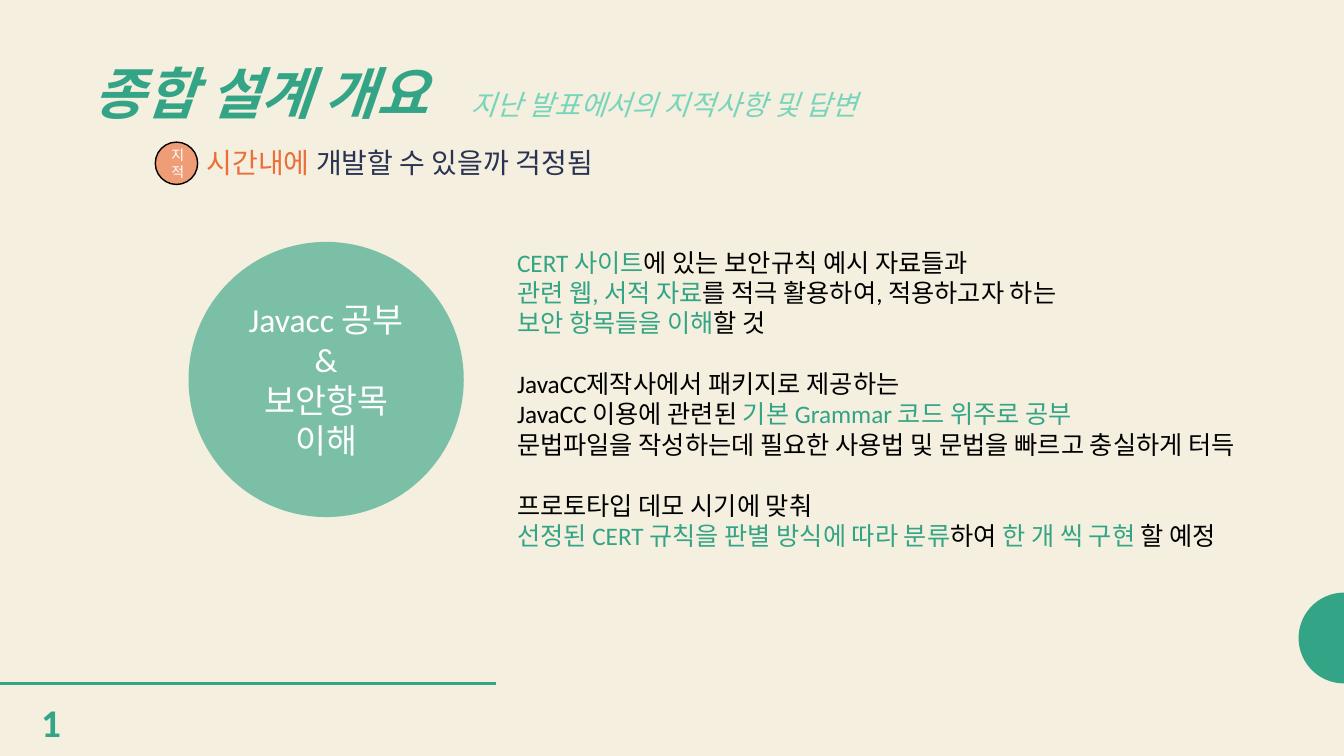
from dataclasses import dataclass
from math import cos, pi, sin

from lxml import etree
from pptx import Presentation
from pptx.dml.color import RGBColor as RGB
from pptx.enum.shapes import MSO_CONNECTOR as CONN, MSO_SHAPE as SHAPE
from pptx.enum.text import MSO_ANCHOR as ANCHOR, PP_ALIGN as ALIGN
from pptx.oxml.ns import qn
from pptx.util import Inches, Pt


@dataclass(frozen=True)
class Theme:
    font: str = "Calibri"
    paper: str = "F4EFDF"
    green: str = "33A485"
    mint: str = "78D5BB"
    orange: str = "EC6E39"
    navy: str = "2A3351"
    black: str = "000000"
    white: str = "FFFFFF"
    title: int = 40
    number: int = 28
    circle: int = 24
    heading: int = 20
    body: int = 18
    badge: int = 10


T = Theme()


@dataclass(frozen=True)
class Run:
    text: str
    color: str = T.black


@dataclass(frozen=True)
class Line:
    runs: tuple[Run, ...]
    gap: int = 0  # points before the line


@dataclass(frozen=True)
class Label:
    box: tuple[float, float, float, float]
    lines: tuple[Line, ...]
    size: int
    bold: bool = False
    italic: bool = False
    spacing: float = 1.0


@dataclass(frozen=True)
class Disc:
    box: tuple[float, float, float, float]
    color: str
    words: tuple[str, ...]
    size: int
    outlined: bool = False


def line(*runs: Run, gap: int = 0) -> Line:
    return Line(runs, gap)


def green(text: str) -> Run:
    return Run(text, T.green)


LABELS = (
    # Title and subtitle
    Label((0.83, 0.61, 4.19, 0.79), (line(green("종합 설계 개요")),),
          T.title, bold=True, italic=True, spacing=0.9),
    Label((4.57, 0.82, 6.83, 0.59), (line(Run("지난 발표에서의 지적사항 및 답변", T.mint)),),
          T.heading, italic=True),
    # Remark
    Label((1.95, 1.39, 4.5, 0.44),
          (line(Run("시간내에", T.orange), Run(" 개발할 수 있을까 걱정됨", T.navy)),), T.heading),
    # Answers, in three groups
    Label((5.03, 2.4, 7.91, 3.74), (
        line(green("CERT 사이트"), Run("에 있는 보안규칙 예시 자료들과")),
        line(green("관련 웹, 서적 자료"), Run("를 적극 활용하여, 적용하고자 하는")),
        line(green("보안 항목들을 이해"), Run("할 것")),
        line(Run("JavaCC제작사에서 패키지로 제공하는"), gap=22),
        line(Run("JavaCC 이용에 관련된 "), green("기본 Grammar 코드 위주로 공부")),
        line(Run("문법파일을 작성하는데 필요한 사용법 및 문법을 빠르고 충실하게 터득")),
        line(Run("프로토타입 데모 시기에 맞춰"), gap=22),
        line(green("선정된 CERT 규칙을 판별 방식에 따라 분류"), Run("하여 "),
             green("한 개 씩 구현"), Run(" 할 예정")),
    ), T.body),
    # Page number
    Label((0.31, 6.88, 0.67, 0.57), (line(green("1")),), T.number, bold=True),
)

DISCS = (
    Disc((1.54, 1.41, 0.42, 0.42), T.orange, ("지적",), T.badge, outlined=True),
    Disc((1.87, 2.4, 2.73, 2.73), T.green, ("Javacc 공부 &", "보안항목", "이해"), T.circle),
)


def write(tf, lines: tuple[Line, ...], size: int, bold: bool = False,
          italic: bool = False, align=ALIGN.LEFT, spacing: float = 1.0) -> None:
    tf.word_wrap = True
    for i, ln in enumerate(lines):
        p = tf.paragraphs[0] if i == 0 else tf.add_paragraph()
        p.alignment = align
        p.line_spacing = spacing
        p.space_before = Pt(ln.gap)
        for run in ln.runs:
            r = p.add_run()
            r.text = run.text
            r.font.name = T.font
            r.font.size = Pt(size)
            r.font.bold = bold
            r.font.italic = italic
            r.font.color.rgb = RGB.from_string(run.color)


def paint(sp, color: str) -> None:
    sp.shadow.inherit = False
    sp.fill.solid()
    sp.fill.fore_color.rgb = RGB.from_string(color)
    sp.line.fill.background()


def add_label(s, label: Label) -> None:
    sp = s.shapes.add_textbox(*map(Inches, label.box))
    write(sp.text_frame, label.lines, label.size, label.bold, label.italic,
          spacing=label.spacing)


def add_disc(s, disc: Disc) -> None:
    sp = s.shapes.add_shape(SHAPE.OVAL, *map(Inches, disc.box))
    paint(sp, disc.color)
    color = sp._element.spPr.find(qn("a:solidFill"))[0]
    etree.SubElement(color, qn("a:alpha")).set("val", "63000")
    if disc.outlined:
        sp.line.color.rgb = RGB.from_string(T.black)
        sp.line.width = Pt(1)
    sp.text_frame.vertical_anchor = ANCHOR.MIDDLE
    lines = tuple(line(Run(word, T.white)) for word in disc.words)
    write(sp.text_frame, lines, disc.size, align=ALIGN.CENTER)


def add_edge_disc(s, x: float, y: float, radius: float, steps: int = 48) -> None:
    """Left half of a disc cut off by the slide's right edge."""
    angles = [pi / 2 + pi * i / steps for i in range(steps + 1)]
    points = [(Inches(x + radius * cos(a)), Inches(y - radius * sin(a))) for a in angles]
    builder = s.shapes.build_freeform(*points[0])
    builder.add_line_segments(points[1:], close=True)
    paint(builder.convert_to_shape(), T.green)


def add_rule(s, y: float, width: float) -> None:
    rule = s.shapes.add_connector(CONN.STRAIGHT, 0, Inches(y), Inches(width), Inches(y))
    rule.line.color.rgb = RGB.from_string(T.green)
    rule.line.width = Pt(2)
    etree.SubElement(rule._element.spPr, qn("a:effectLst"))


def main() -> None:
    prs = Presentation()
    prs.slide_width, prs.slide_height = Inches(13.33), Inches(7.5)
    s = prs.slides.add_slide(prs.slide_layouts[6])
    s.background.fill.solid()
    s.background.fill.fore_color.rgb = RGB.from_string(T.paper)

    # Decoration
    add_edge_disc(s, 13.33, 6.33, 0.45)
    add_rule(s, 6.78, 4.92)

    # Content
    for label in LABELS:
        add_label(s, label)
    for disc in DISCS:
        add_disc(s, disc)

    prs.save("out.pptx")


if __name__ == "__main__":
    main()
